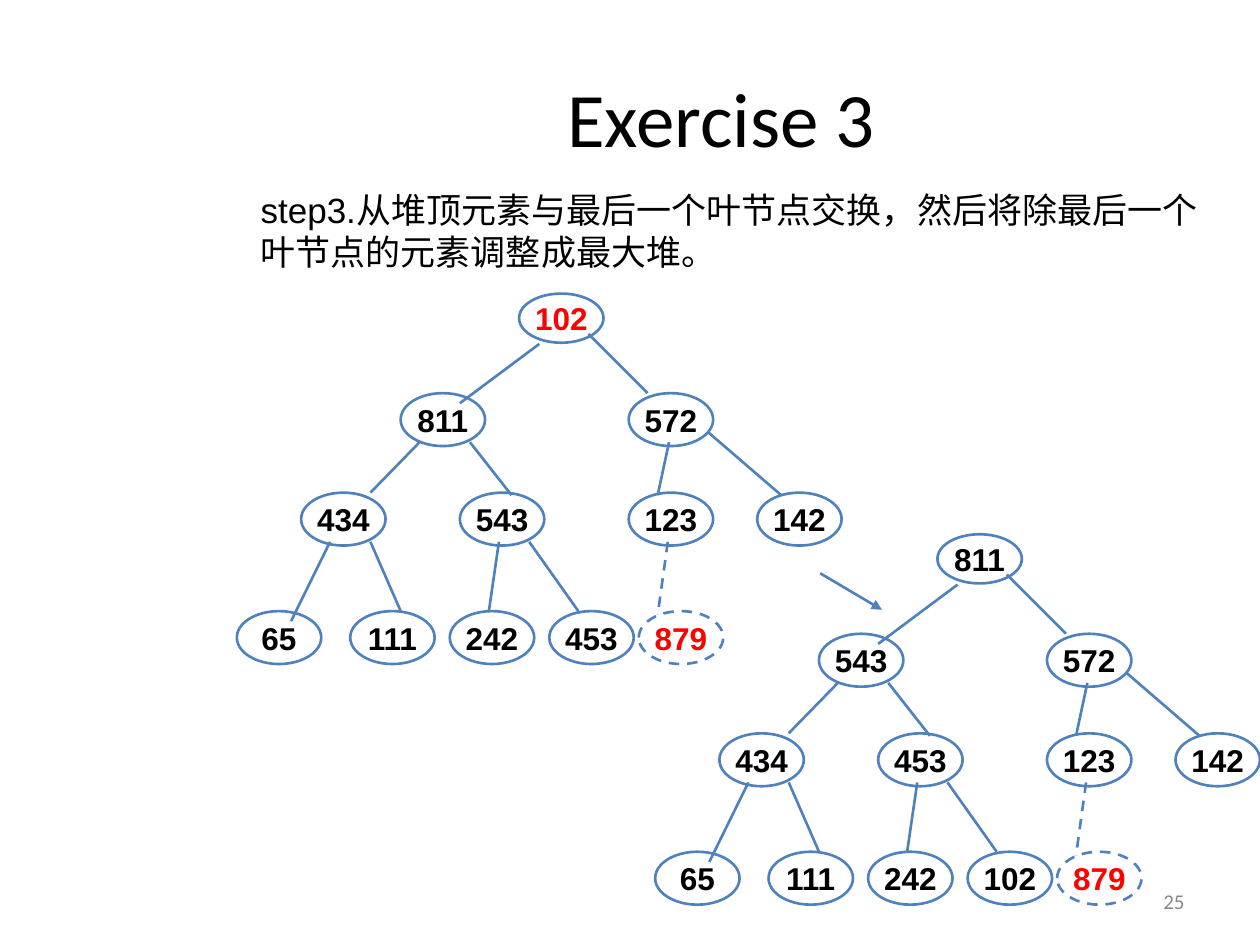
from lxml import etree
from pptx import Presentation
from pptx.dml.color import RGBColor
from pptx.enum.dml import MSO_LINE
from pptx.enum.shapes import MSO_CONNECTOR, MSO_SHAPE
from pptx.enum.text import MSO_ANCHOR, PP_ALIGN
from pptx.oxml.ns import qn
from pptx.util import Inches, Pt

STRAIGHT, ELLIPSE, DASH = MSO_CONNECTOR.STRAIGHT, MSO_SHAPE.OVAL, MSO_LINE.DASH
TOP, MIDDLE = MSO_ANCHOR.TOP, MSO_ANCHOR.MIDDLE
LEFT, CENTER, RIGHT = PP_ALIGN.LEFT, PP_ALIGN.CENTER, PP_ALIGN.RIGHT
BLUE, BLACK, RED, WHITE, GREY = "4F81BD", "000000", "FF0000", "FFFFFF", "898989"

# text, (left, top, width, height), size, font, colour, alignment, anchor
TEXTS = [
    ("Exercise 3", (1.95, 0.3, 7.55, 1.25), 44, "Calibri", BLACK, CENTER, MIDDLE),
    ("25", (7.17, 6.95, 2.33, 0.4), 12, "Calibri", GREY, RIGHT, MIDDLE),
    ("step3.从堆顶元素与最后一个叶节点交换，然后将除最后一个叶节点的元素调整成最大堆。",
     (1.97, 1.45, 7.73, 0.77), 20, "Arial", BLACK, LEFT, TOP),
]

# Heap values in level order, red values, and the shift of the whole tree
TREES = [
    ("102 811 572 434 543 123 142 65 111 242 453 879".split(), {"102", "879"}, (0, 0)),
    ("811 543 572 434 453 123 142 65 111 242 102 879".split(), {"879"}, (3.32, 1.91)),
]
REMOVED = "879"

NODE_WIDTH, NODE_HEIGHT, ROOT_HEIGHT = 0.67, 0.42, 0.39
# top of each level and the left edges of its nodes
LEVELS = [
    (2.33, [4.12]),
    (3.12, [3.18, 4.99]),
    (3.91, [2.39, 3.65, 4.99, 6.01]),
    (4.85, [1.88, 2.78, 3.57, 4.36, 5.07]),
]
# branch ends in level order: one for every node below the root
BRANCHES = [
    (4.28, 2.73, 3.65, 3.2), (4.67, 2.65, 5.14, 3.12),
    (3.33, 3.51, 2.94, 3.91), (3.73, 3.51, 4.06, 3.93),
    (5.31, 3.51, 5.22, 3.93), (5.62, 3.43, 6.2, 3.93),
    (2.62, 4.3, 2.31, 4.93), (2.94, 4.3, 3.18, 4.85),
    (3.96, 4.3, 3.88, 4.85), (4.2, 4.3, 4.59, 4.85),
    (5.3, 4.3, 5.22, 4.88),
]
STEP_ARROW = (6.51, 4.55, 7, 4.84)


def rgb(value):
    return RGBColor.from_string(value)


def write(shape, text, size, font, color, align, anchor, bold=False, wrap=True):
    frame = shape.text_frame
    frame.text = text
    frame.word_wrap = wrap
    frame.vertical_anchor = anchor
    para = frame.paragraphs[0]
    para.alignment = align
    span = para.runs[0].font
    span.size, span.name, span.bold = Pt(size), font, bold
    span.color.rgb = rgb(color)


def style_line(line, dashed):
    line.color.rgb = rgb(BLUE)
    line.width = Pt(1.5)
    if dashed:
        line.dash_style = DASH


def add_line(slide, ends, dashed=False, arrow=False):
    connector = slide.shapes.add_connector(STRAIGHT, *map(Inches, ends))
    style_line(connector.line, dashed)
    properties = connector._element.spPr
    if arrow:
        etree.SubElement(connector.line._get_or_add_ln(), qn("a:tailEnd"), type="triangle")
    etree.SubElement(properties, qn("a:effectLst"))


def add_node(slide, value, left, top, is_root, color):
    height = ROOT_HEIGHT if is_root else NODE_HEIGHT
    node = slide.shapes.add_shape(ELLIPSE, *map(Inches, (left, top, NODE_WIDTH, height)))
    node.shadow.inherit = False
    if is_root:
        node.fill.background()
    else:
        node.fill.solid()
        node.fill.fore_color.rgb = rgb(WHITE)
    style_line(node.line, value == REMOVED)
    write(node, value, 18, "Arial", color, CENTER, MIDDLE, bold=True, wrap=False)


def add_tree(slide, values, red_values, shift):
    across, down = shift
    places = [(left, top) for top, lefts in LEVELS for left in lefts]
    for index, (value, (left, top)) in enumerate(zip(values, places)):
        color = RED if value in red_values else BLACK
        add_node(slide, value, left + across, top + down, index == 0, color)
    for value, (x1, y1, x2, y2) in zip(values[1:], BRANCHES):
        ends = (x1 + across, y1 + down, x2 + across, y2 + down)
        add_line(slide, ends, dashed=value == REMOVED)


def main():
    deck = Presentation()
    deck.slide_width, deck.slide_height = Inches(10), Inches(7.5)
    slide = deck.slides.add_slide(deck.slide_layouts[6])
    for text, place, *style in TEXTS:
        write(slide.shapes.add_textbox(*map(Inches, place)), text, *style)
    for tree in TREES:
        add_tree(slide, *tree)
    add_line(slide, STEP_ARROW, arrow=True)
    deck.save("out.pptx")


if __name__ == "__main__":
    main()
